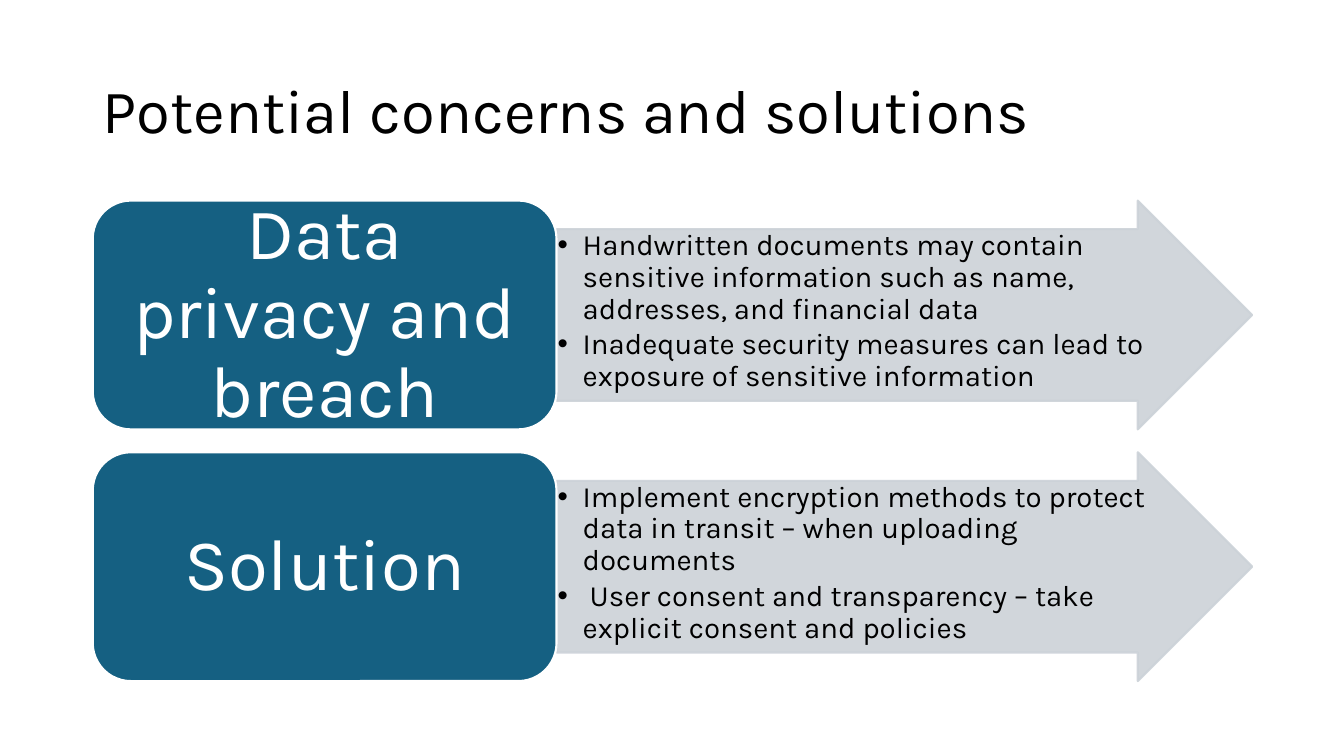
"""Build the slide on potential concerns and their solutions."""
from dataclasses import dataclass

from lxml import etree
from pptx import Presentation
from pptx.dml.color import RGBColor
from pptx.enum.shapes import MSO_SHAPE as Preset
from pptx.enum.text import MSO_ANCHOR as Anchor, PP_ALIGN as Align
from pptx.oxml.ns import qn
from pptx.util import Inches, Pt

TITLE = "Potential concerns and solutions"
ROWS = [
    ("Data privacy and breach", [
        "Handwritten documents may contain sensitive information such as name, "
        "addresses, and financial data",
        "Inadequate security measures can lead to exposure of sensitive information",
    ]),
    ("Solution", [
        "Implement encryption methods to protect data in transit – when uploading documents",
        " User consent and transparency – take explicit consent and policies",
    ]),
]


@dataclass(frozen=True)
class Theme:
    font: str = "Karla"
    ink: str = "000000"
    paper: str = "FFFFFF"
    label: str = "156082"
    arrow: str = "CCD2D8"
    arrow_opacity: int = 90
    title_size: int = 44
    label_size: int = 52
    bullet_size: int = 21
    line_width: float = 1.5


THEME = Theme()
WIDTH, HEIGHT = 13.33, 7.5
LEFT, CONTENT = 0.92, 11.5
LABEL_WIDTH = CONTENT * 0.4
ARROW_WIDTH = CONTENT - LABEL_WIDTH
TOP, ROW_HEIGHT = 1.99, 2.27
ROW_PITCH = ROW_HEIGHT * 1.1
BULLET_INDENT = 0.25


def add_panel(slide, preset, left, top, width, fill, line, margins, anchor):
    panel = slide.shapes.add_shape(
        preset, Inches(left), Inches(top), Inches(width), Inches(ROW_HEIGHT))
    panel.shadow.inherit = False
    panel.fill.solid()
    panel.fill.fore_color.rgb = RGBColor.from_string(fill)
    panel.line.color.rgb = RGBColor.from_string(line)
    panel.line.width = Pt(THEME.line_width)
    frame = panel.text_frame
    frame.word_wrap = True
    frame.vertical_anchor = anchor
    (frame.margin_left, frame.margin_top,
     frame.margin_right, frame.margin_bottom) = map(Inches, margins)
    return panel


def write(para, text, size, color, align):
    para.alignment = align
    para.line_spacing = 0.9
    span = para.add_run()
    span.text = text
    span.font.name = THEME.font
    span.font.size = Pt(size)
    span.font.color.rgb = RGBColor.from_string(color)


def add_bullet(para):
    props = para._p.get_or_add_pPr()
    props.set("marL", str(Inches(BULLET_INDENT)))
    props.set("indent", str(-Inches(BULLET_INDENT)))
    etree.SubElement(props, qn("a:buFont"), typeface="Arial")
    etree.SubElement(props, qn("a:buChar"), char="•")


def fade(panel):
    for color in panel._element.spPr.iter(qn("a:srgbClr")):
        etree.SubElement(color, qn("a:alpha"), val=str(THEME.arrow_opacity * 1000))


def add_arrow(slide, top, bullets):
    arrow = add_panel(slide, Preset.RIGHT_ARROW, LEFT + LABEL_WIDTH, top, ARROW_WIDTH,
                      THEME.arrow, THEME.arrow, (0.01, 0.01, 0.01, 0.01), Anchor.TOP)
    arrow.adjustments[0] = 0.75
    arrow.adjustments[1] = 0.5
    fade(arrow)
    frame = arrow.text_frame
    for index, text in enumerate(bullets):
        para = frame.add_paragraph() if index else frame.paragraphs[0]
        add_bullet(para)
        para.space_after = Pt(3)
        write(para, text, THEME.bullet_size, THEME.ink, Align.LEFT)


def add_label(slide, top, text):
    label = add_panel(slide, Preset.ROUNDED_RECTANGLE, LEFT, top, LABEL_WIDTH,
                      THEME.label, THEME.paper, (0.22, 0.11, 0.22, 0.11), Anchor.MIDDLE)
    write(label.text_frame.paragraphs[0], text, THEME.label_size, THEME.paper, Align.CENTER)


def main():
    deck = Presentation()
    deck.slide_width, deck.slide_height = Inches(WIDTH), Inches(HEIGHT)
    page = deck.slides.add_slide(deck.slide_layouts[5])
    title = page.shapes.title
    title.left, title.top = Inches(LEFT), Inches(0.4)
    title.width, title.height = Inches(CONTENT), Inches(1.45)
    title.text_frame.vertical_anchor = Anchor.MIDDLE
    write(title.text_frame.paragraphs[0], TITLE, THEME.title_size, THEME.ink, Align.LEFT)
    for index, (label, bullets) in enumerate(ROWS):
        top = TOP + index * ROW_PITCH
        add_arrow(page, top, bullets)
        add_label(page, top, label)
    deck.save("out.pptx")


if __name__ == "__main__":
    main()
